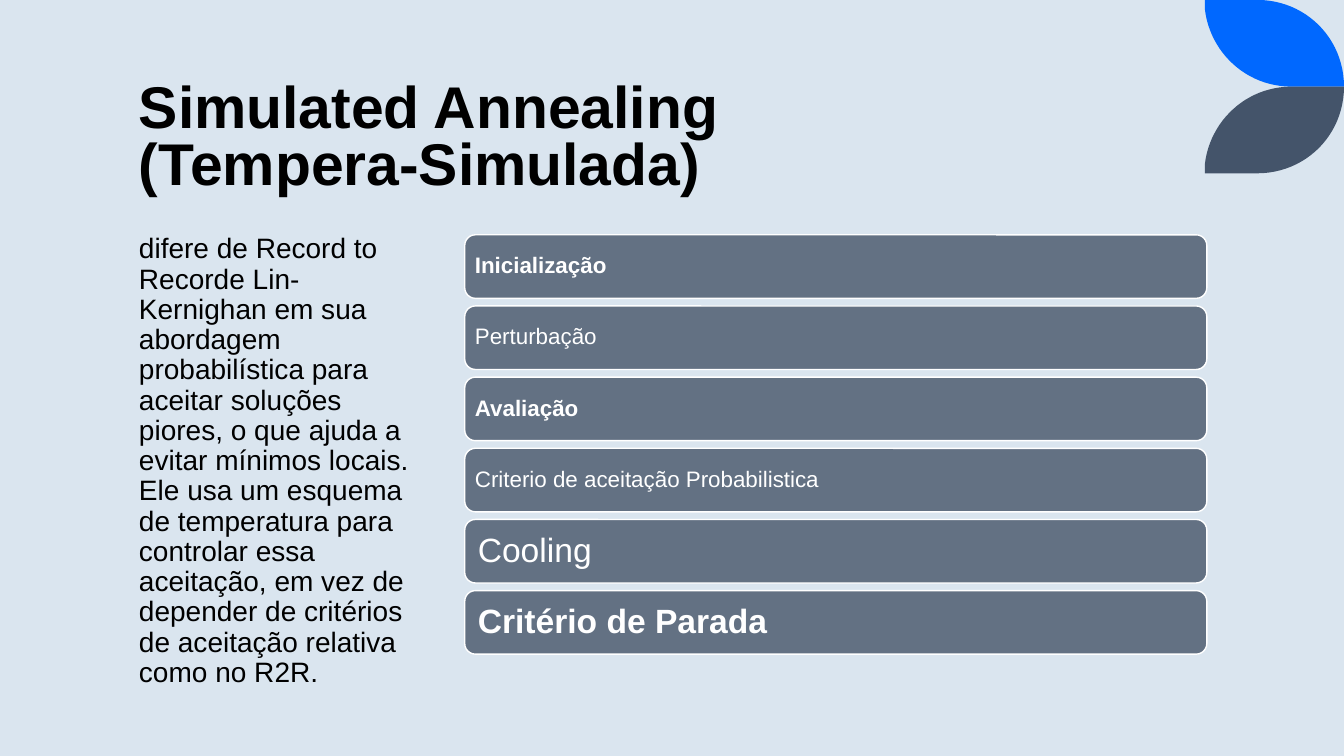
from dataclasses import dataclass

import pptx
import pptx.dml.color
import pptx.enum.shapes
import pptx.enum.text
import pptx.util

Inches = pptx.util.Inches


@dataclass(frozen=True)
class Theme:
    font: str = "Arial"
    background: str = "DAE5EF"
    ink: str = "000000"
    bar: str = "637183"
    light: str = "FFFFFF"
    blue_leaf: str = "0068FF"
    slate_leaf: str = "44546A"
    title_size: int = 42
    body_size: int = 20
    step_size: int = 16
    large_step_size: int = 24


THEME = Theme()

TITLE = "Simulated Annealing\v(Tempera-Simulada)"
BODY = (
    "difere de Record to Recorde Lin-Kernighan em sua abordagem probabilística "
    "para aceitar soluções piores, o que ajuda a evitar mínimos locais. "
    "Ele usa um esquema de temperatura para controlar essa aceitação, "
    "em vez de depender de critérios de aceitação relativa como no R2R."
)
# Label, size, bold, inset
STEPS = [
    ("Inicialização", THEME.step_size, True, 0.07),
    ("Perturbação", THEME.step_size, False, 0.07),
    ("Avaliação", THEME.step_size, True, 0.07),
    ("Criterio de aceitação Probabilistica", THEME.step_size, False, 0.07),
    ("Cooling", THEME.large_step_size, False, 0.1),
    ("Critério de Parada", THEME.large_step_size, True, 0.1),
]
FIRST_STEP_TOP, LAST_STEP_TOP = 2.33, 5.86

LEAF_LEFT, LEAF_RIGHT, LEAF_HEIGHT = 11.95, 13.33, 0.86


def rgb(color):
    return pptx.dml.color.RGBColor.from_string(color)


def fill_solid(target, color):
    target.fill.solid()
    target.fill.fore_color.rgb = rgb(color)


def write(frame, text, size, color, bold=False, spacing=0.9):
    frame.word_wrap = True
    para = frame.paragraphs[0]
    para.text = text
    para.alignment = pptx.enum.text.PP_ALIGN.LEFT
    para.line_spacing = spacing
    para.font.name = THEME.font
    para.font.size = pptx.util.Pt(size)
    para.font.bold = bold
    para.font.color.rgb = rgb(color)


def add_text(page, left, top, width, height, anchor, text, size, **style):
    box = page.shapes.add_textbox(
        Inches(left), Inches(top), Inches(width), Inches(height)
    )
    box.text_frame.vertical_anchor = anchor
    write(box.text_frame, text, size, THEME.ink, **style)


def add_step(page, top, label, size, bold, inset):
    bar = page.shapes.add_shape(
        pptx.enum.shapes.MSO_SHAPE.ROUNDED_RECTANGLE,
        Inches(4.61), Inches(top), Inches(7.36), Inches(0.63),
    )
    bar.shadow.inherit = False
    fill_solid(bar, THEME.bar)
    bar.line.color.rgb = rgb(THEME.light)
    bar.line.width = pptx.util.Pt(1)
    frame = bar.text_frame
    frame.margin_left = frame.margin_right = Inches(inset)
    frame.margin_top = frame.margin_bottom = Inches(inset)
    frame.vertical_anchor = pptx.enum.text.MSO_ANCHOR.MIDDLE
    write(frame, label, size, THEME.light, bold)


def curve(start, control_a, control_b, end, count=24):
    """Points along a cubic Bezier curve, start excluded."""
    points = []
    for index in range(1, count + 1):
        t = index / count
        weights = ((1 - t) ** 3, 3 * t * (1 - t) ** 2, 3 * t**2 * (1 - t), t**3)
        corners = (start, control_a, control_b, end)
        points.append(
            tuple(sum(w * c[axis] for w, c in zip(weights, corners)) for axis in (0, 1))
        )
    return points


def add_leaf(page, color, mirrored=False):
    """Leaf at the top right; the mirrored one hangs below the first."""
    tip = (LEAF_RIGHT, LEAF_HEIGHT)
    outline = [(LEAF_LEFT, 0), (12.47, 0)]
    outline += curve(outline[-1], (12.95, 0), (LEAF_RIGHT, 0.38), tip)
    outline.append((12.81, LEAF_HEIGHT))
    outline += curve(outline[-1], (12.36, LEAF_HEIGHT), (12, 0.52), (LEAF_LEFT, 0.09))
    if mirrored:
        outline = [(x, 2 * LEAF_HEIGHT - y) for x, y in outline]
    points = [(Inches(x), Inches(y)) for x, y in outline]
    builder = page.shapes.build_freeform(*points[0])
    builder.add_line_segments(points[1:], close=True)
    leaf = builder.convert_to_shape()
    leaf.shadow.inherit = False
    fill_solid(leaf, color)
    leaf.line.fill.background()


def main():
    deck = pptx.Presentation()
    deck.slide_width = Inches(13.33)
    deck.slide_height = Inches(7.5)
    page = deck.slides.add_slide(deck.slide_layouts[6])
    fill_solid(page.background, THEME.background)

    add_leaf(page, THEME.blue_leaf)
    add_leaf(page, THEME.slate_leaf, mirrored=True)

    anchors = pptx.enum.text.MSO_ANCHOR
    add_text(page, 1.28, 0.5, 10.6, 1.5, anchors.BOTTOM,
             TITLE, THEME.title_size, bold=True, spacing=0.8)
    add_text(page, 1.28, 2.28, 2.95, 4.25, anchors.TOP, BODY, THEME.body_size)

    pitch = (LAST_STEP_TOP - FIRST_STEP_TOP) / (len(STEPS) - 1)
    for index, step in enumerate(STEPS):
        add_step(page, FIRST_STEP_TOP + index * pitch, *step)

    deck.save("out.pptx")


if __name__ == "__main__":
    main()
